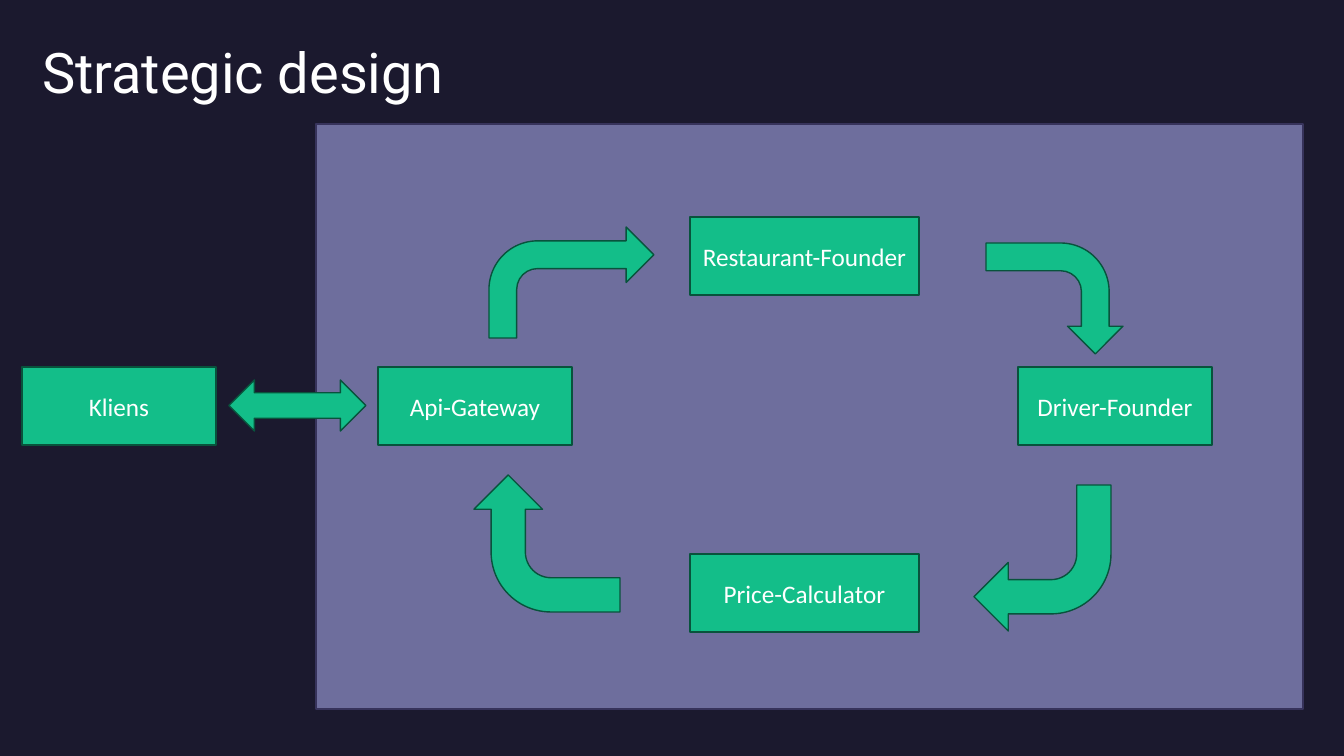
import pptx
import pptx.util
import pptx.dml.color
import pptx.enum.shapes
import pptx.enum.text
from dataclasses import dataclass

SHAPE = pptx.enum.shapes.MSO_SHAPE
ALIGN = pptx.enum.text.PP_ALIGN
ANCHOR = pptx.enum.text.MSO_ANCHOR

# Content: lengths in px
SLIDE_SIZE = (1344, 756)
TITLE = ("Strategic design", (32, 32, 690, 78))
SYSTEM_PANEL = (316, 124, 987, 585)
SERVICE_HEIGHT = 78
SERVICES = [  # label, left, top, width
    ("Kliens", 22, 367, 194),
    ("Price-Calculator", 690, 554, 229),
    ("Driver-Founder", 1018, 367, 194),
    ("Restaurant-Founder", 690, 217, 229),
    ("Api-Gateway", 378, 367, 194),
]
ARROWS = [  # preset, visible bounds, rotation
    (SHAPE.BENT_ARROW, (489, 227, 165, 111), 0),
    (SHAPE.BENT_ARROW, (986, 243, 137, 111), 90),
    (SHAPE.BENT_ARROW, (974, 485, 137, 146), 180),
    (SHAPE.BENT_ARROW, (474, 475, 146, 137), 270),
    (SHAPE.LEFT_RIGHT_ARROW, (229, 380, 137, 51), 0),
]


@dataclass(frozen=True)
class Theme:
    background: str = "1B192E"
    panel: str = "6E6E9D"
    panel_line: str = "37335B"
    green: str = "13BE89"
    green_line: str = "08533C"
    text: str = "FFFFFF"
    title_font: str = "Roboto"
    label_font: str = "Calibri"
    title_size: int = 40
    label_size: int = 18
    line_width: int = 1


THEME = Theme()


def px(length):
    return pptx.util.Emu(round(length * 914400 / 100.8))


def colour(code):
    return pptx.dml.color.RGBColor.from_string(code)


def write(shape, text, font, size, align):
    frame = shape.text_frame
    frame.word_wrap = True
    frame.vertical_anchor = ANCHOR.MIDDLE
    para = frame.paragraphs[0]
    para.alignment = align
    span = para.add_run()
    span.text = text
    span.font.name = font
    span.font.size = pptx.util.Pt(size)
    span.font.color.rgb = colour(THEME.text)


def add_block(page, preset, bounds, fill=THEME.green, line=THEME.green_line):
    shape = page.shapes.add_shape(preset, *map(px, bounds))
    shape.shadow.inherit = False
    shape.fill.solid()
    shape.fill.fore_color.rgb = colour(fill)
    shape.line.color.rgb = colour(line)
    shape.line.width = pptx.util.Pt(THEME.line_width)
    return shape


def add_arrow(page, preset, bounds, rotation):
    left, top, width, height = bounds
    # A quarter turn swaps the sides around the same centre
    if rotation % 180:
        shift = (width - height) / 2
        bounds = (left + shift, top - shift, height, width)
    add_block(page, preset, bounds).rotation = rotation


def main():
    deck = pptx.Presentation()
    deck.slide_width, deck.slide_height = map(px, SLIDE_SIZE)
    page = deck.slides.add_slide(deck.slide_layouts[5])
    page.background.fill.solid()
    page.background.fill.fore_color.rgb = colour(THEME.background)

    # Title
    text, bounds = TITLE
    title = page.shapes.title
    title.left, title.top, title.width, title.height = map(px, bounds)
    write(title, text, THEME.title_font, THEME.title_size, ALIGN.LEFT)

    # System boundary
    add_block(page, SHAPE.RECTANGLE, SYSTEM_PANEL, THEME.panel, THEME.panel_line)

    # Services
    for label, left, top, width in SERVICES:
        box = add_block(page, SHAPE.RECTANGLE, (left, top, width, SERVICE_HEIGHT))
        write(box, label, THEME.label_font, THEME.label_size, ALIGN.CENTER)

    # Request flow
    for preset, bounds, rotation in ARROWS:
        add_arrow(page, preset, bounds, rotation)

    deck.save("out.pptx")


if __name__ == "__main__":
    main()
